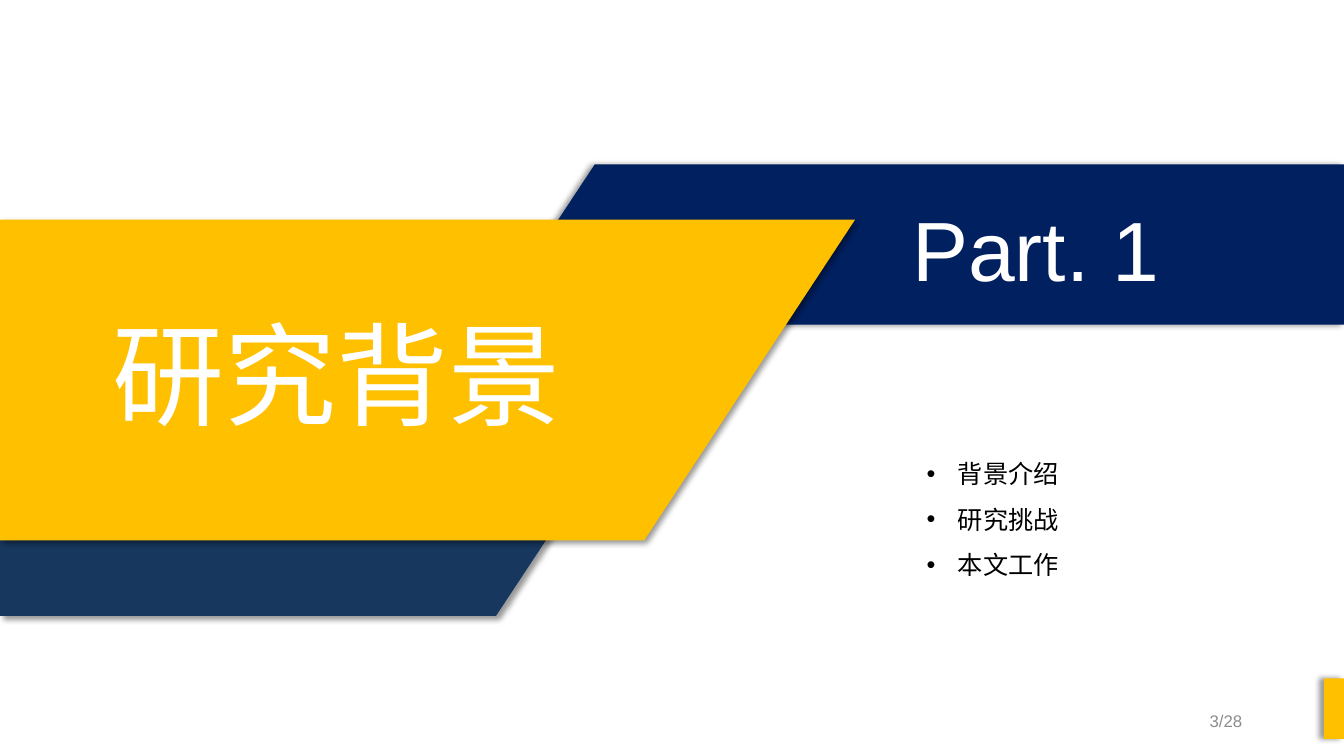
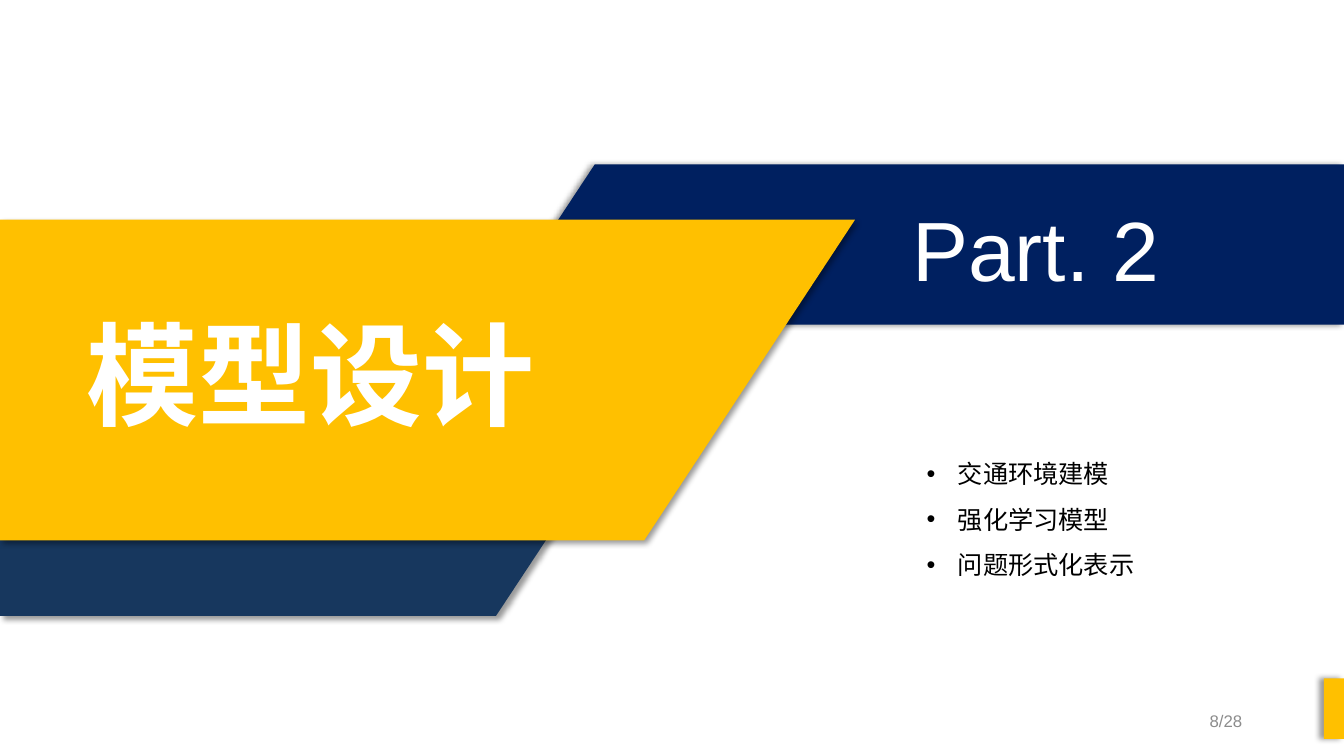
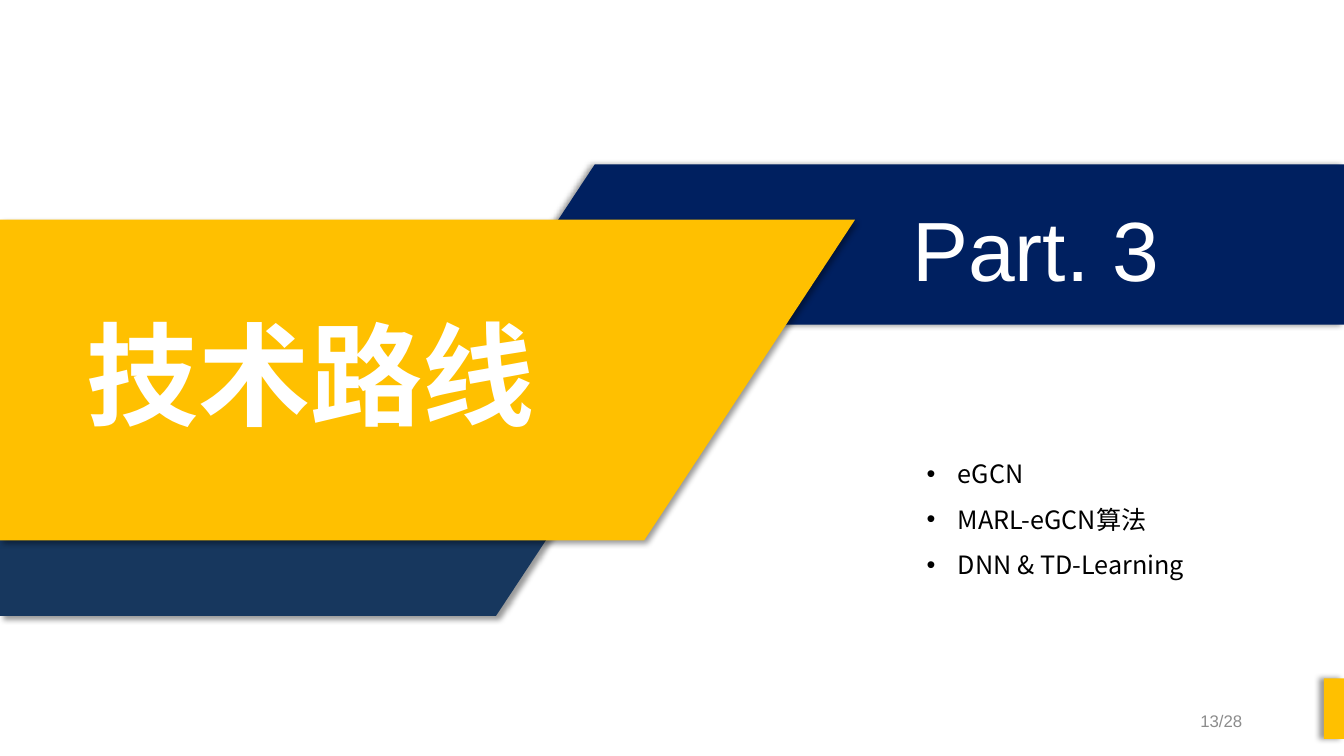
from pptx import Presentation
from pptx.dml import color
from pptx.enum import shapes, text
from pptx.oxml import ns, parse_xml
from pptx.util import Inches, Pt

COLOURS = {"navy": "002060", "slate": "17375E", "gold": "FFC000",
           "white": "FFFFFF", "black": "000000", "grey": "8C8C8C"}
EAST_ASIAN = "Noto Sans CJK SC"
PAGE_COUNT = 28
WIDTH, HEIGHT = 13.33, 7.5

BANDS = [
    ((0, 5.11, 5.58, 1), (0, 0, 0.66, 0), "slate", 45),
    ((4.85, 1.63, 8.48, 1.59), (1.05, 0, 0, 0), "navy", 180),
    ((0, 2.18, 8.48, 3.18), (0, 0, 2.09, 0), "gold", 45),
]
CENTRED_TITLE = {"left": 0.99, "align": text.PP_ALIGN.CENTER, "font": "Arial", "bold": False}
BOLD_TITLE = {"left": 0.76, "align": text.PP_ALIGN.LEFT, "font": "League Spartan", "bold": True}

SECTIONS = [
    {"page": 3, "heading": "研究背景", "style": CENTRED_TITLE, "topics_width": 2.99,
     "topics": ["背景介绍", "研究挑战", "本文工作"]},
    {"page": 8, "heading": "模型设计", "style": BOLD_TITLE, "topics_width": 2.99,
     "topics": ["交通环境建模", "强化学习模型", "问题形式化表示"]},
    {"page": 13, "heading": "技术路线", "style": BOLD_TITLE, "topics_width": 3.9,
     "topics": ["eGCN", "MARL-eGCN算法", "DNN & TD-Learning"]},
]


def rgb(name):
    """Return the named palette colour."""
    return color.RGBColor.from_string(COLOURS[name])


def apply(target, values):
    """Set every attribute in values on the target."""
    for name, value in values.items():
        setattr(target, name, value)


def place(part, box):
    """Move a part to a box given in inches."""
    apply(part, dict(zip(("left", "top", "width", "height"), map(Inches, box))))


def paint(part, fill, direction):
    """Fill a part, drop its outline and cast a soft shadow."""
    part.fill.solid()
    part.fill.fore_color.rgb = rgb(fill)
    part.line.fill.background()
    part.shadow.inherit = False
    effects = part.element.spPr.find(ns.qn("a:effectLst"))
    effects.append(parse_xml(
        f'<a:outerShdw {ns.nsdecls("a")} blurRad="{Pt(4)}" dist="{Pt(3)}" '
        f'dir="{direction * 60000}" algn="t" rotWithShape="0">'
        f'<a:srgbClr val="{COLOURS["black"]}"><a:alpha val="40000"/></a:srgbClr></a:outerShdw>'))


def write(part, lines, size, font, fill, align, bold=False, spacing=1.0,
          anchor=text.MSO_ANCHOR.TOP, wrap=True):
    """Write formatted paragraphs into a part."""
    frame = part.text_frame
    frame.text = "\n".join(lines)
    apply(frame, {"word_wrap": wrap, "vertical_anchor": anchor,
                  "auto_size": text.MSO_AUTO_SIZE.NONE})
    for paragraph in frame.paragraphs:
        apply(paragraph, {"alignment": align, "line_spacing": spacing, "space_before": Pt(0)})
        run = paragraph.runs[0]
        apply(run.font, {"size": Pt(size), "name": font, "bold": bold})
        run.font.color.rgb = rgb(fill)
        run.font._element.find(ns.qn("a:latin")).addnext(
            parse_xml(f'<a:ea {ns.nsdecls("a")} typeface="{EAST_ASIAN}"/>'))


def add_band(slide, box, cuts, fill, direction):
    """Draw a band in a box, its corners cut inward clockwise from top left."""
    left, top, width, height = box
    right, bottom = left + width, top + height
    corners = [(left + cuts[0], top), (right - cuts[1], top),
               (right - cuts[2], bottom), (left + cuts[3], bottom)]
    points = [(Inches(x), Inches(y)) for x, y in corners]
    outline = slide.shapes.build_freeform(*points[0])
    outline.add_line_segments(points[1:], close=True)
    paint(outline.convert_to_shape(), fill, direction)


def add_part_label(slide, number, box):
    """Write the part number on the navy band."""
    label = slide.shapes.add_textbox(*map(Inches, box))
    write(label, [f"Part. {number}"], 60, "Arial", "white", text.PP_ALIGN.CENTER)


def add_heading(slide, heading, style):
    """Put the title placeholder on top of the gold band."""
    title = slide.shapes.title
    slide.shapes.element.append(title.element)
    place(title, (style["left"], 2.98, 4.69, 1.45))
    write(title, [heading], 80, style["font"], "white", style["align"],
          bold=style["bold"], wrap=False)


def add_topics(slide, topics, box):
    """Fill the body placeholder with the bulleted topics."""
    body = slide.placeholders[1]
    place(body, box)
    write(body, topics, 18, EAST_ASIAN, "black", text.PP_ALIGN.LEFT, spacing=1.5)
    for paragraph in body.text_frame.paragraphs:
        properties = paragraph._p.get_or_add_pPr()
        properties.set("marL", str(Inches(0.31)))
        properties.set("indent", str(Inches(-0.31)))


def add_footer(slide, page, box):
    """Add the page count and the gold tab at the right edge."""
    left, top, width, height = box
    counter = slide.shapes.add_textbox(*map(Inches, (left, top + 0.22, 3, 0.4)))
    write(counter, [f"{page}/{PAGE_COUNT}"], 12, "Arial", "grey", text.PP_ALIGN.RIGHT,
          anchor=text.MSO_ANCHOR.MIDDLE)
    tab = slide.shapes.add_shape(shapes.MSO_SHAPE.RECTANGLE, *map(
        Inches, (left + width - 0.2, top, 0.2, height)))
    paint(tab, "gold", 180)


def add_section(deck, number, section):
    """Build one section divider slide."""
    slide = deck.slides.add_slide(deck.slide_layouts[1])
    for band in BANDS:
        add_band(slide, *band)
    add_part_label(slide, number, (8.9, 1.91, 2.75, 1.11))
    add_heading(slide, section["heading"], section["style"])
    add_topics(slide, section["topics"], (9.09, 4.35, section["topics_width"], 1.46))
    add_footer(slide, section["page"], (9.42, 6.73, WIDTH - 9.42, 0.6))


def main():
    """Build and save the deck."""
    deck = Presentation()
    apply(deck, {"slide_width": Inches(WIDTH), "slide_height": Inches(HEIGHT)})
    for number, section in enumerate(SECTIONS, 1):
        add_section(deck, number, section)
    deck.save("out.pptx")


if __name__ == "__main__":
    main()
